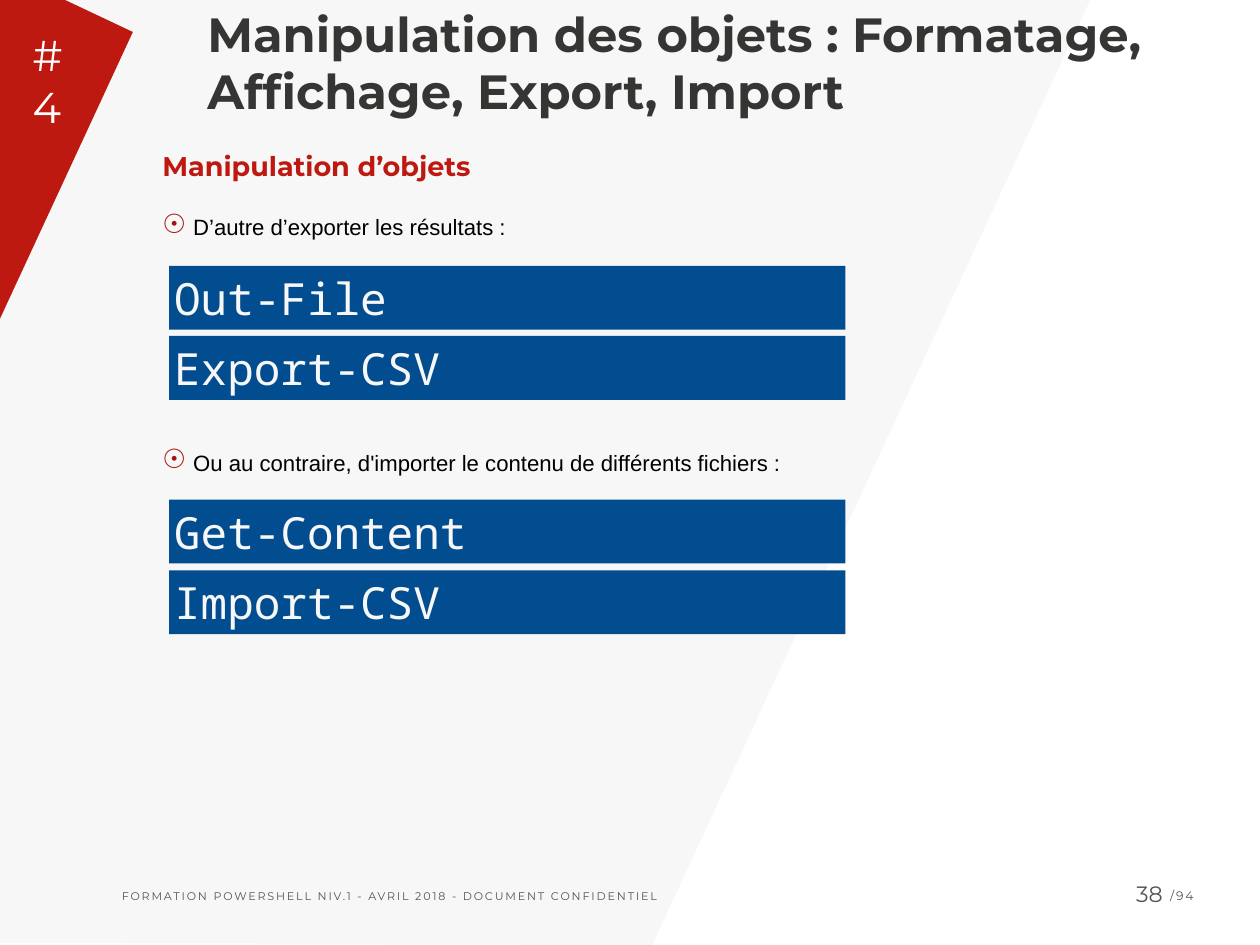
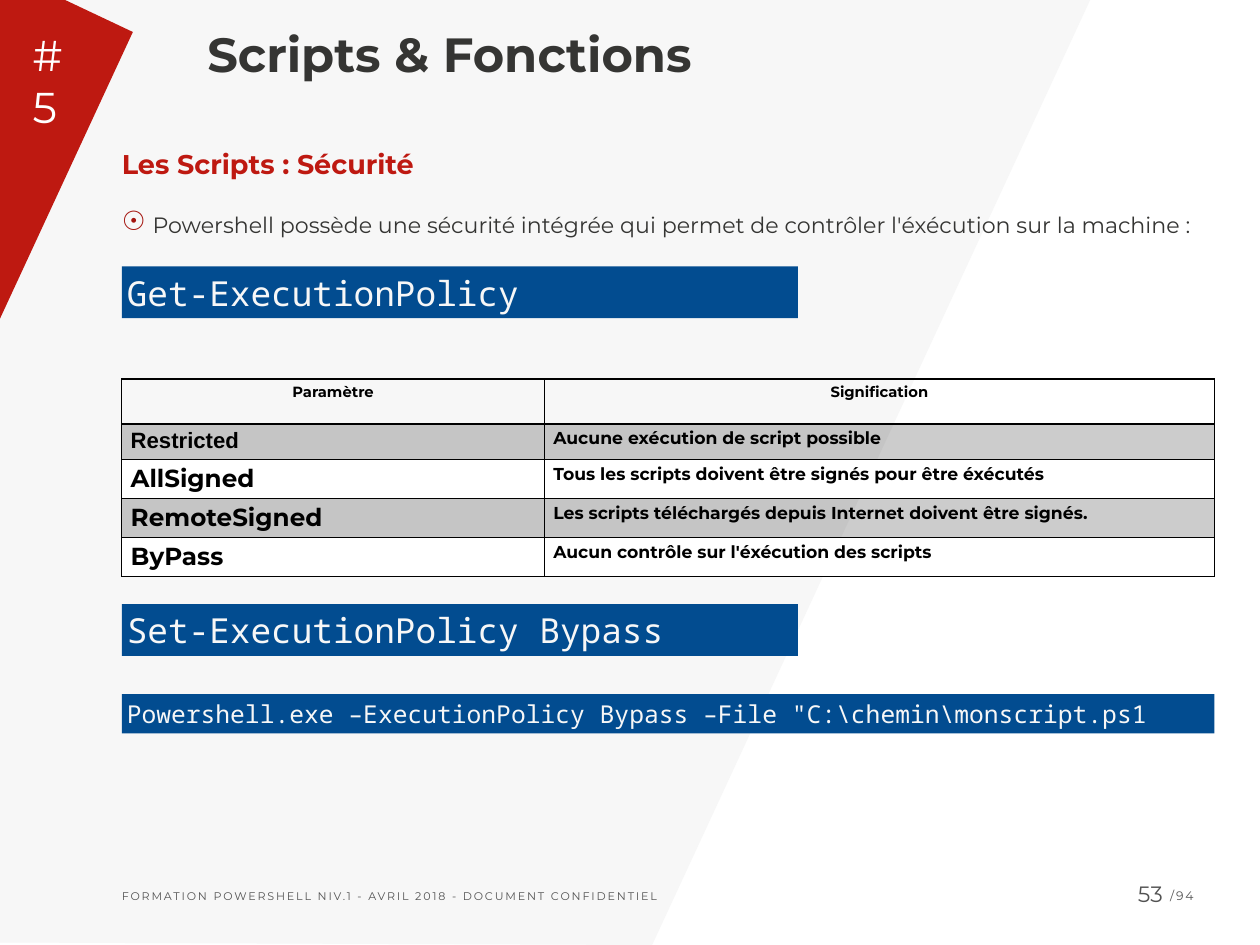
"""Two training slides on object export and script security."""
from pptx import Presentation
from pptx import util as u
from pptx.dml.color import RGBColor
from pptx.enum import shapes, text
from pptx.oxml import parse_xml
from pptx.oxml.ns import nsdecls, qn

COLOURS = {
    "backdrop": "F7F7F7", "red": "BE1911", "bullet": "A4140E", "blue": "024C90",
    "title": "353533", "footer": "535353", "white": "FFFFFF", "black": "000000",
}
SANS, MONO = "Montserrat", "Noto Sans Mono"
LEFT, CENTER, RIGHT = text.PP_ALIGN.LEFT, text.PP_ALIGN.CENTER, text.PP_ALIGN.RIGHT


def rgb(name):
    """Return a palette colour."""
    return RGBColor.from_string(COLOURS[name])


def write(frame, wording, size, colour, face=SANS, bold=False, align=LEFT, inset=4,
          anchor=text.MSO_ANCHOR.TOP):
    """Fill the first paragraph of a frame and return it."""
    frame.word_wrap = True
    frame.auto_size = text.MSO_AUTO_SIZE.NONE
    frame.vertical_anchor = anchor
    frame.margin_left = frame.margin_right = u.Pt(inset)
    frame.margin_top = frame.margin_bottom = u.Pt(inset)
    line = frame.paragraphs[0]
    line.text, line.alignment = wording, align
    line.font.size, line.font.name, line.font.bold = u.Pt(size), face, bold
    line.font.color.rgb = rgb(colour)
    return line


BACKGROUND = [
    ("backdrop", [(0, 0), (886.5, 0), (530, 768), (0, 766)]),
    ("red", [(0, 0), (53, 0), (108, 26), (0, 259)]),
]
FOOTER = [
    ("FORMATION POWERSHELL NIV.1 - AVRIL 2018 - DOCUMENT CONFIDENTIEL", 95, 718.5, 752, 9),
    ("/94", 947, 718, 57, 10),
]
PARAMETERS = [
    ("Paramètre", "Signification"),
    ("Restricted", "Aucune exécution de script possible"),
    ("AllSigned", "Tous les scripts doivent être signés pour être éxécutés"),
    ("RemoteSigned", "Les scripts téléchargés depuis Internet doivent être signés."),
    ("ByPass", "Aucun contrôle sur l'éxécution des scripts"),
]
PAGES = [
    {
        "title": "Manipulation des objets : Formatage, Affichage, Export, Import",
        "title_top": -16.5, "chapter": "#4", "number": "38",
        "heading": "Manipulation d’objets", "body": (132, 121.5, 820),
        "points": [("D’autre d’exporter les résultats\u00a0:", 15),
                   ("Ou au contraire, d'importer le contenu de différents fichiers :", 159)],
        "point_style": ("Arial", "black"),
        "commands": [("Out-File", 137.5, 216, 549.5, 52, 36),
                     ("Export-CSV", 137.5, 273, 549.5, 52, 36),
                     ("Get-Content", 137.5, 406, 549.5, 52, 36),
                     ("Import-CSV", 137.5, 463.5, 549.5, 52, 36)],
        "parameters": [],
    },
    {
        "title": "Scripts & Fonctions",
        "title_top": -47, "chapter": "#5", "number": "53",
        "heading": "Les Scripts : Sécurité", "body": (99, 119.5, 903),
        "points": [("Powershell possède une sécurité intégrée qui permet de contrôler "
                    "l'éxécution sur la machine :", 15)],
        "point_style": (SANS, "title"),
        "commands": [("Get-ExecutionPolicy", 99, 216.5, 549.5, 42, 28),
                     ("Set-ExecutionPolicy Bypass", 99, 491, 549.5, 42, 28),
                     ('Powershell.exe –ExecutionPolicy Bypass –File "C:\\chemin\\monscript.ps1',
                      99, 564, 888, 32, 20)],
        "parameters": PARAMETERS,
    },
]

deck = Presentation()
deck.slide_width, deck.slide_height = u.Pt(1024), u.Pt(768)

for page in PAGES:
    slide = deck.slides.add_slide(deck.slide_layouts[5])
    canvas = slide.shapes

    for colour, corners in BACKGROUND:
        outline = canvas.build_freeform(*corners[0], scale=u.Pt(1))
        outline.add_line_segments(corners[1:], close=True)
        panel = outline.convert_to_shape()
        panel.shadow.inherit = False
        panel.fill.solid()
        panel.fill.fore_color.rgb = rgb(colour)
        panel.line.fill.background()

    for wording, left, top, width, size in FOOTER:
        footer = canvas.add_textbox(u.Pt(left), u.Pt(top), u.Pt(width), u.Pt(20))
        line = write(footer.text_frame, wording, size, "footer")
        line._p.get_or_add_pPr().get_or_add_defRPr().set("spc", "150")

    number = canvas.add_textbox(u.Pt(900), u.Pt(711.5), u.Pt(49), u.Pt(27))
    write(number.text_frame, page["number"], 18, "footer", align=RIGHT)

    title = canvas.title
    canvas._spTree.append(title._element)
    title.left, title.top = u.Pt(164.5), u.Pt(page["title_top"])
    title.width, title.height = u.Pt(859.5), u.Pt(117.5)
    write(title.text_frame, page["title"], 39, "title", bold=True,
          anchor=text.MSO_ANCHOR.BOTTOM)

    chapter = canvas.add_textbox(u.Pt(22.5), u.Pt(19.5), u.Pt(43), u.Pt(94))
    write(chapter.text_frame, page["chapter"], 35, "white")

    left, top, width = page["body"]
    body = canvas.add_textbox(u.Pt(left), u.Pt(top), u.Pt(width), u.Pt(480))
    write(body.text_frame, page["heading"], 22, "red", bold=True, inset=0)
    face, colour = page["point_style"]
    for wording, gap in page["points"]:
        point = body.text_frame.add_paragraph()
        point.text, point.line_spacing, point.space_before = wording, 1.5, u.Pt(gap)
        props = point._p.get_or_add_pPr()
        props.set("marL", str(u.Pt(25)))
        props.set("indent", str(u.Pt(-25)))
        for mark in (f'<a:buClr {nsdecls("a")}><a:srgbClr val="{COLOURS["bullet"]}"/></a:buClr>',
                     f'<a:buSzPct {nsdecls("a")} val="120000"/>',
                     f'<a:buChar {nsdecls("a")} char="☉"/>'):
            props.append(parse_xml(mark))
        point.font.size, point.font.name = u.Pt(18), face
        point.font.color.rgb = rgb(colour)

    for wording, left, top, width, height, size in page["commands"]:
        command = canvas.add_shape(shapes.MSO_SHAPE.RECTANGLE, u.Pt(left), u.Pt(top),
                                   u.Pt(width), u.Pt(height))
        command.shadow.inherit = False
        command.fill.solid()
        command.fill.fore_color.rgb = rgb("blue")
        command.line.fill.background()
        write(command.text_frame, wording, size, "backdrop", MONO,
              anchor=text.MSO_ANCHOR.MIDDLE)

    if not page["parameters"]:
        continue
    grid = canvas.add_table(5, 2, u.Pt(99), u.Pt(308), u.Pt(888), u.Pt(158.5)).table
    grid.first_row = grid.horz_banding = False
    for column, width in zip(grid.columns, (343.5, 544.5)):
        column.width = u.Pt(width)
    for row, height in zip(grid.rows, (36.5, 29, 31, 31, 31)):
        row.height = u.Pt(height)
    for r, entry in enumerate(page["parameters"]):
        for c, wording in enumerate(entry):
            cell = grid.cell(r, c)
            line = cell.text_frame.paragraphs[0]
            line.text = wording
            line.alignment = LEFT if r else CENTER
            line.font.size = u.Pt(12 if r == 0 else 14 if c else 18 if r == 1 else 20)
            line.font.name = "Arial" if (r, c) == (1, 0) else SANS
            line.font.bold = True
            line.font.color.rgb = rgb("black")
            props = cell._tc.get_or_add_tcPr()
            for side in "LRTB":
                thick = (r, side) in ((0, "B"), (1, "T"))
                props.append(parse_xml(
                    f'<a:ln{side} {nsdecls("a")} w="{u.Pt(2 if thick else 1)}"><a:solidFill>'
                    f'<a:srgbClr val="{COLOURS["black"]}"/></a:solidFill></a:ln{side}>'))
            if r == 0:
                cell.fill.background()
                continue
            cell.fill.solid()
            cell.fill.fore_color.rgb = rgb("black" if r % 2 else "white")
            if r % 2:
                props.find(qn("a:solidFill"))[0].append(
                    parse_xml(f'<a:alpha {nsdecls("a")} val="20000"/>'))

deck.save("out.pptx")
